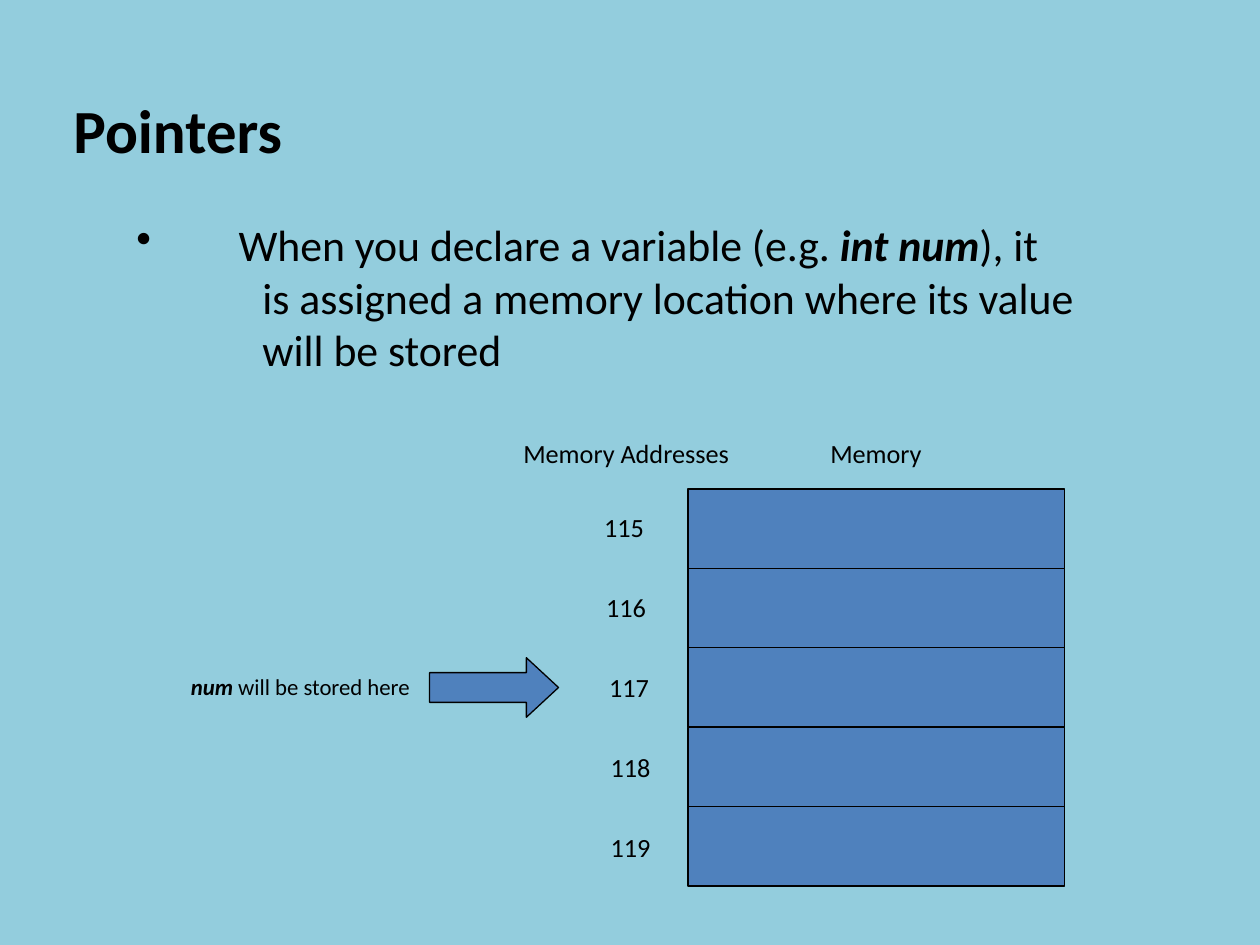
from dataclasses import dataclass

from lxml.etree import SubElement
from pptx import Presentation
from pptx.dml.color import RGBColor
from pptx.enum.shapes import MSO_SHAPE
from pptx.enum.text import MSO_ANCHOR, MSO_AUTO_SIZE, PP_ALIGN
from pptx.oxml.ns import qn
from pptx.slide import Slide
from pptx.text.text import TextFrame
from pptx.util import Cm, Pt

SKY = RGBColor(0x93, 0xCD, 0xDD)
BLUE = RGBColor(0x4F, 0x81, 0xBD)
BLACK = RGBColor(0, 0, 0)
FONT = "Calibri"
CELL_LEFT, CELL_TOP, CELL_WIDTH, CELL_HEIGHT = 13.87, 9.86, 7.59, 1.6
ADDRESS_TOP, ADDRESS_STEP = 10.19, 1.61


@dataclass(frozen=True)
class Span:
    text: str
    bold: bool = False
    italic: bool = False


@dataclass(frozen=True)
class Line:
    spans: tuple[Span, ...]
    margin: float = 0
    indent: float = 0
    bullet: str = ""


@dataclass(frozen=True)
class Label:
    text: str
    left: float
    top: float
    width: float


@dataclass(frozen=True)
class Block:
    preset: MSO_SHAPE
    left: float
    top: float
    width: float
    height: float


def write_lines(frame: TextFrame, lines: tuple[Line, ...], size: float, align: PP_ALIGN) -> None:
    frame.word_wrap = True
    frame.vertical_anchor = MSO_ANCHOR.TOP
    for index, line in enumerate(lines):
        para = frame.add_paragraph() if index else frame.paragraphs[0]
        para.alignment = align
        para.space_before = Pt(0)
        para.font.name = FONT
        para.font.size = Pt(size)
        para.font.color.rgb = BLACK
        properties = para._p.get_or_add_pPr()
        properties.set("marL", str(Cm(line.margin)))
        properties.set("indent", str(Cm(line.indent)))
        if line.bullet:
            bullet = SubElement(properties, qn("a:buChar"), char=line.bullet)
            properties.insert_element_before(bullet, "a:tabLst", "a:defRPr")
        for span in line.spans:
            run = para.add_run()
            run.text = span.text
            run.font.bold = span.bold
            run.font.italic = span.italic


def add_text(page: Slide, place: tuple[float, float, float, float], lines: tuple[Line, ...],
             size: float, align: PP_ALIGN = PP_ALIGN.LEFT) -> TextFrame:
    box = page.shapes.add_textbox(*map(Cm, place))
    write_lines(box.text_frame, lines, size, align)
    return box.text_frame


def add_block(page: Slide, block: Block) -> None:
    shape = page.shapes.add_shape(
        block.preset, Cm(block.left), Cm(block.top), Cm(block.width), Cm(block.height))
    shape.shadow.inherit = False
    shape.fill.solid()
    shape.fill.fore_color.rgb = BLUE
    shape.line.color.rgb = BLACK
    shape.line.width = Pt(0.75)
    if block.preset == MSO_SHAPE.RIGHT_ARROW:
        shape.adjustments[0] = 0.5
        shape.adjustments[1] = 0.54


def set_insets(frame: TextFrame) -> None:
    frame.margin_left = frame.margin_right = Cm(0.18)
    frame.margin_top = frame.margin_bottom = Cm(0.1)


deck = Presentation()
deck.slide_width, deck.slide_height = Cm(25.4), Cm(19.05)
page = deck.slides.add_slide(deck.slide_layouts[5])
page.background.fill.solid()
page.background.fill.fore_color.rgb = SKY

title = page.shapes.title
title.left, title.top, title.width, title.height = Cm(1.3), Cm(1.75), Cm(22.8), Cm(1.7)
title.text_frame.auto_size = MSO_AUTO_SIZE.NONE
set_insets(title.text_frame)
write_lines(title.text_frame, (Line((Span("Pointers", bold=True),)),), 35, PP_ALIGN.LEFT)

explanation = (
    Line((Span("When you declare a variable (e.g. "), Span("int num", True, True), Span("), it")),
         margin=4.6, indent=-2.06, bullet="•"),
    Line((Span("is assigned a memory location where its value"),), margin=5.08),
    Line((Span("will be stored"),), margin=5.08),
)
set_insets(add_text(page, (0.03, 4.3, 25.34, 3.4), explanation, 25))

for row in range(5):
    add_block(page, Block(MSO_SHAPE.RECTANGLE, CELL_LEFT, CELL_TOP + row * CELL_HEIGHT,
                          CELL_WIDTH, CELL_HEIGHT))
add_block(page, Block(MSO_SHAPE.RIGHT_ARROW, 8.66, 13.26, 2.6, 1.2))

address_lefts = (11.35, 11.39, 11.45, 11.48, 11.48)
labels = [Label("Memory Addresses", 9.96, 8.69, 5.33), Label("Memory", 16.43, 8.69, 2.46)]
labels += [Label(str(115 + row), left, ADDRESS_TOP + row * ADDRESS_STEP, 2.46)
           for row, left in enumerate(address_lefts)]
for label in labels:
    add_text(page, (label.left, label.top, label.width, 0.89),
             (Line((Span(label.text),)),), 15, PP_ALIGN.CENTER)

note = Line((Span("num", True, True), Span(" will be stored here")))
add_text(page, (3.6, 13.44, 5.06, 0.81), (note,), 13)

deck.save("out.pptx")
